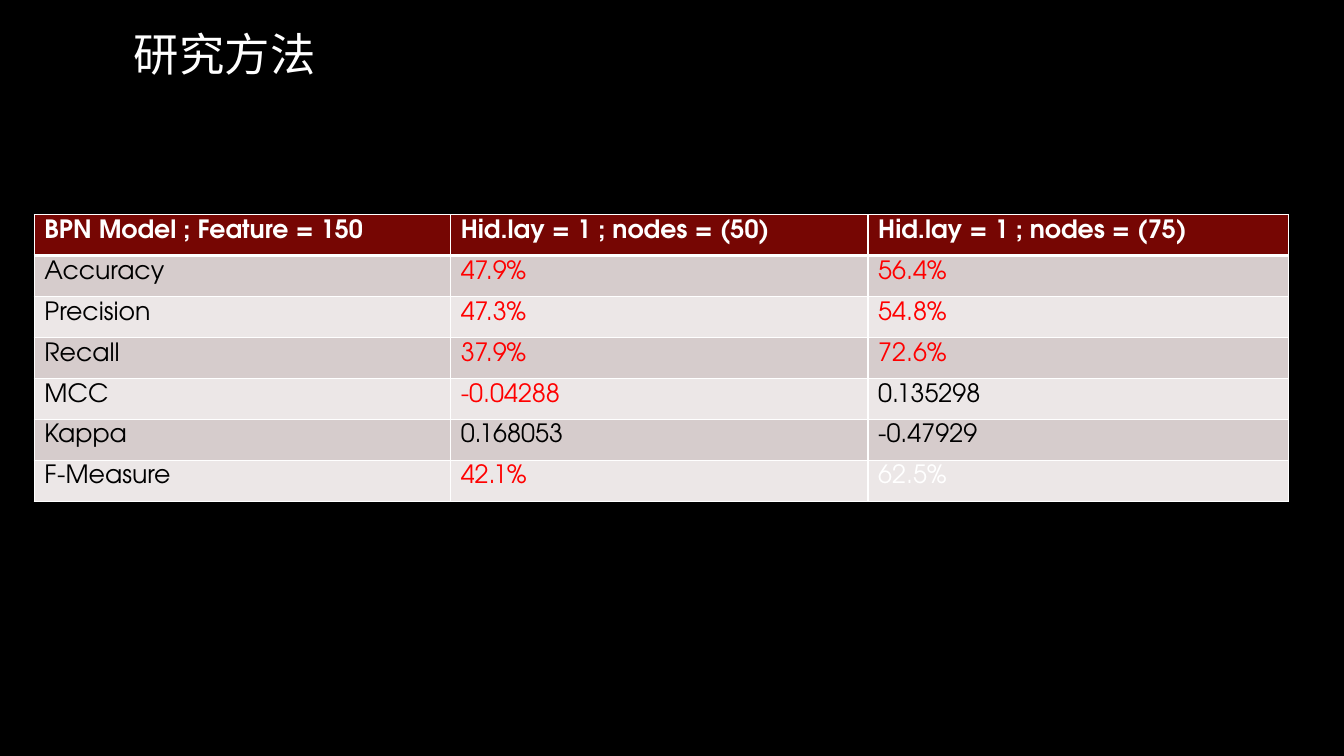
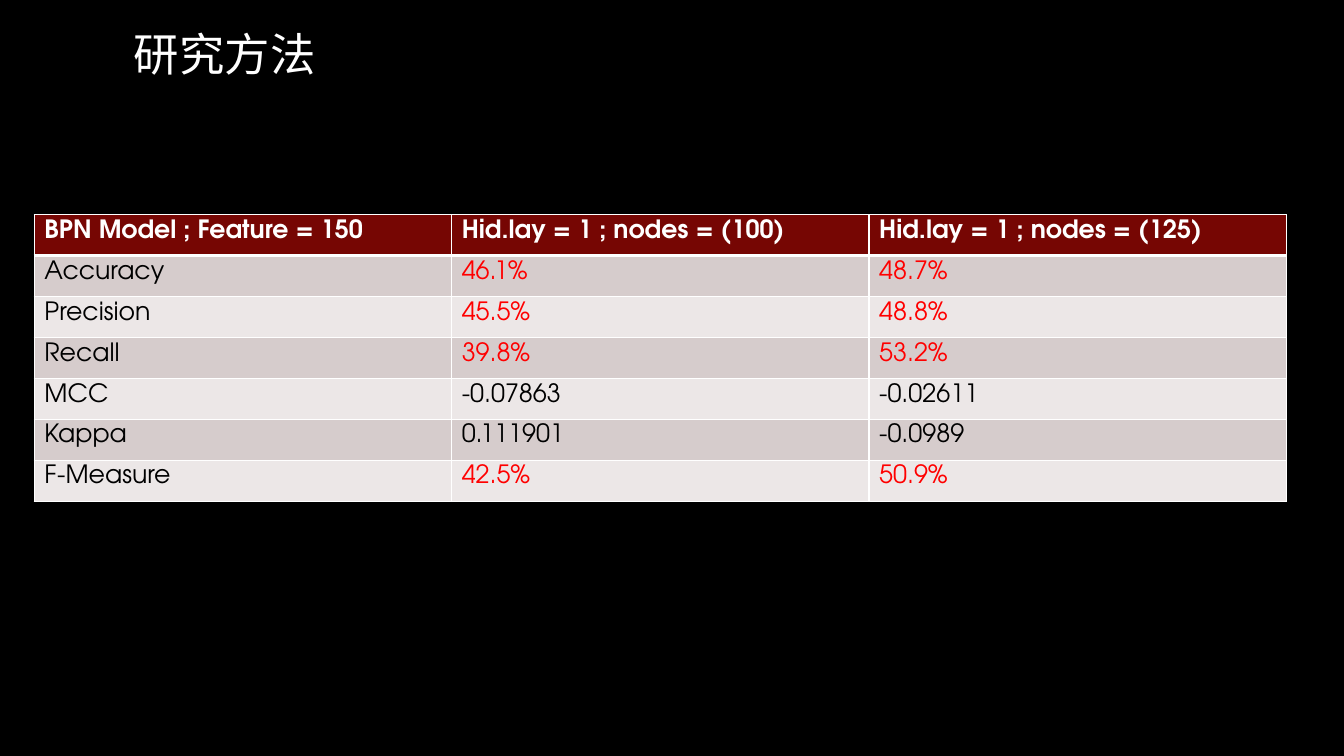
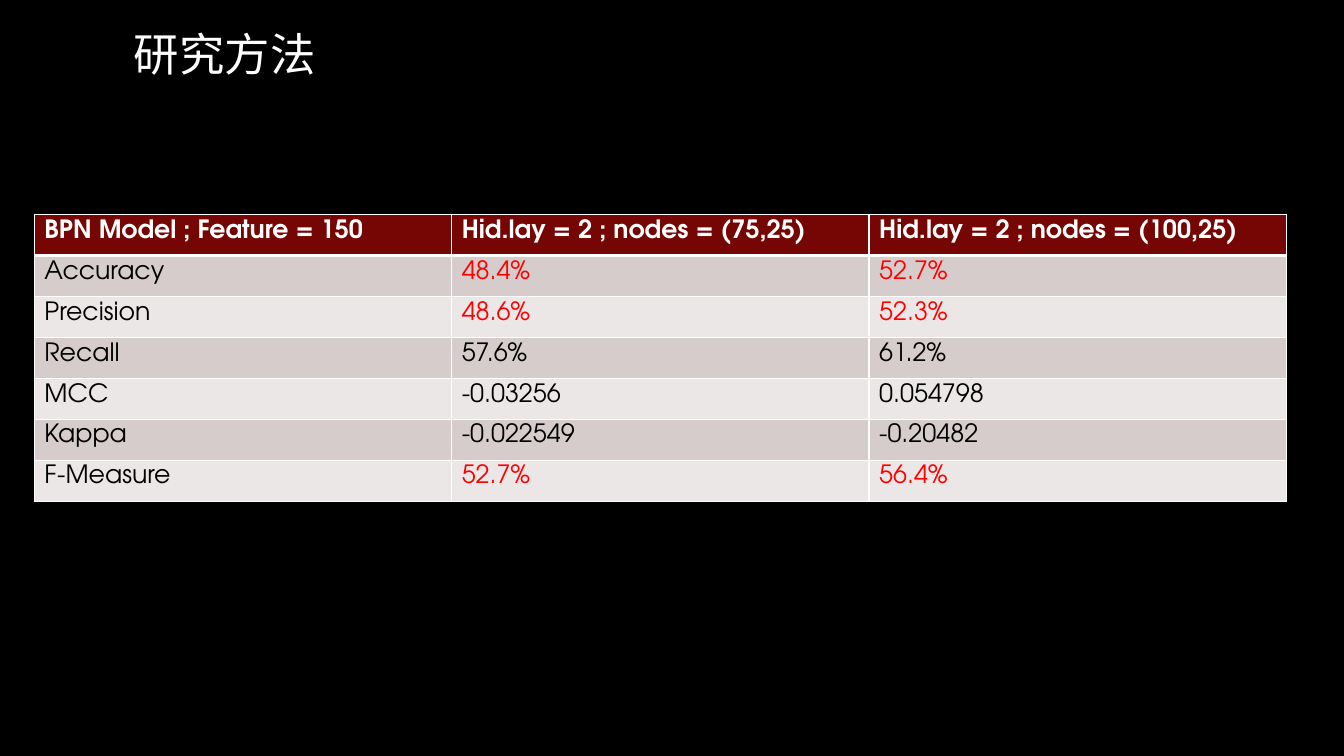
from lxml.etree import SubElement
from pptx import Presentation
from pptx.dml.color import RGBColor
from pptx.enum.text import MSO_ANCHOR as Anchor
from pptx.oxml.ns import qn
from pptx.util import Inches, Pt

COLORS = {
    "background": "000000",
    "white": "FFFFFF",
    "black": "000000",
    "red": "FF0000",
    "header": "760603",
    "band_dark": "D6CCCC",
    "band_light": "ECE7E7",
}
TITLE = "研究方法"
TITLE_FONT = "Noto Sans CJK SC"
TABLE_FONT = "TeX Gyre Adventor"
LABELS = ["BPN Model ; Feature = 150", "Accuracy", "Precision", "Recall",
          "MCC", "Kappa", "F-Measure"]
LABEL_COLORS = ["white"] + ["black"] * 6
ROW_HEIGHT = 0.406
EVEN_WIDTHS = [4.14, 4.14, 4.14]

MODELS = [
    ([4.13, 4.14, 4.17], [
        (["Hid.lay = 1 ; nodes = (50)", "47.9%", "47.3%", "37.9%",
          "-0.04288", "0.168053", "42.1%"],
         ["white", "red", "red", "red", "red", "black", "red"]),
        (["Hid.lay = 1 ; nodes = (75)", "56.4%", "54.8%", "72.6%",
          "0.135298", "-0.47929", "62.5%"],
         ["white", "red", "red", "red", "black", "black", "white"]),
    ]),
    (EVEN_WIDTHS, [
        (["Hid.lay = 1 ; nodes = (100)", "46.1%", "45.5%", "39.8%",
          "-0.07863", "0.111901", "42.5%"],
         ["white", "red", "red", "red", "black", "black", "red"]),
        (["Hid.lay = 1 ; nodes = (125)", "48.7%", "48.8%", "53.2%",
          "-0.02611", "-0.0989", "50.9%"],
         ["white", "red", "red", "red", "black", "black", "red"]),
    ]),
    (EVEN_WIDTHS, [
        (["Hid.lay = 2 ; nodes = (75,25)", "48.4%", "48.6%", "57.6%",
          "-0.03256", "-0.022549", "52.7%"],
         ["white", "red", "red", "black", "black", "black", "red"]),
        (["Hid.lay = 2 ; nodes = (100,25)", "52.7%", "52.3%", "61.2%",
          "0.054798", "-0.20482", "56.4%"],
         ["white", "red", "red", "black", "black", "black", "red"]),
    ]),
]


def rgb(name):
    return RGBColor.from_string(COLORS[name])


def style_text(p, font, size, color, bold=False):
    p.font.name = font
    p.font.size = Pt(size)
    p.font.color.rgb = rgb(color)
    p.font.bold = bold


def add_title(slide):
    box = slide.shapes.add_textbox(Inches(1.23), Inches(0.23), Inches(3.19), Inches(0.6))
    tf = box.text_frame
    tf.word_wrap = True
    tf.vertical_anchor = Anchor.MIDDLE
    p = tf.paragraphs[0]
    r = p.add_run()
    r.text = TITLE
    style_text(r, TITLE_FONT, 32.4, "white")
    SubElement(r.font._element, qn("a:ea"), typeface=TITLE_FONT)


def set_borders(cell, row):
    tc_pr = cell._tc.get_or_add_tcPr()
    widths = {"L": 1, "R": 1, "T": 3 if row == 1 else 1, "B": 3 if row == 0 else 1}
    for side, width in widths.items():
        ln = SubElement(tc_pr, qn(f"a:ln{side}"), w=str(Pt(width)))
        fill = SubElement(ln, qn("a:solidFill"))
        SubElement(fill, qn("a:srgbClr"), val=COLORS["white"])


def fill_cell(cell, row, text, color):
    set_borders(cell, row)
    band = "header" if row == 0 else "band_dark" if row % 2 else "band_light"
    cell.fill.solid()
    cell.fill.fore_color.rgb = rgb(band)
    cell.text = text
    style_text(cell.text_frame.paragraphs[0], TABLE_FONT, 18, color, row == 0)


def add_results_table(slide, widths, results):
    columns = [(LABELS, LABEL_COLORS)] + results
    table = slide.shapes.add_table(
        len(LABELS), len(columns), Inches(0.34), Inches(2.13),
        Inches(sum(widths)), Inches(ROW_HEIGHT * len(LABELS))).table
    for row in table.rows:
        row.height = Inches(ROW_HEIGHT)
    for col, (texts, colors) in enumerate(columns):
        table.columns[col].width = Inches(widths[col])
        for row, (text, color) in enumerate(zip(texts, colors)):
            fill_cell(table.cell(row, col), row, text, color)


def main():
    prs = Presentation()
    prs.slide_width = Inches(13.33)
    prs.slide_height = Inches(7.5)
    background = prs.slide_master.background.fill
    background.solid()
    background.fore_color.rgb = rgb("background")
    for widths, results in MODELS:
        slide = prs.slides.add_slide(prs.slide_layouts[6])
        add_title(slide)
        add_results_table(slide, widths, results)
    prs.save("out.pptx")


if __name__ == "__main__":
    main()
